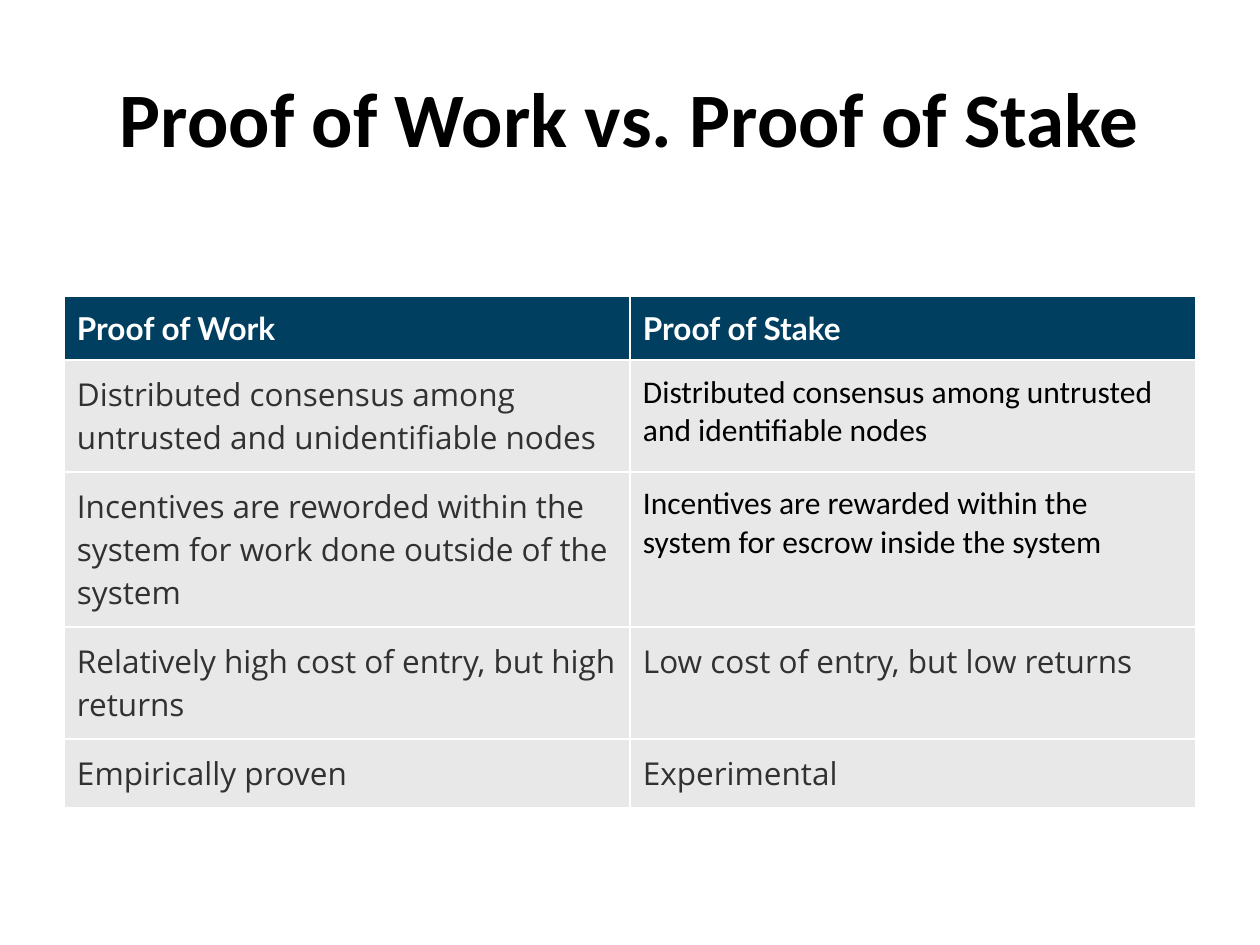
from lxml import etree
from pptx import Presentation
from pptx.dml.color import RGBColor
from pptx.enum.text import MSO_ANCHOR, MSO_AUTO_SIZE, PP_ALIGN
from pptx.oxml.ns import qn
from pptx.util import Pt

CENTER = PP_ALIGN.CENTER
LEFT = PP_ALIGN.LEFT
MIDDLE = MSO_ANCHOR.MIDDLE
TOP = MSO_ANCHOR.TOP
NO_FIT = MSO_AUTO_SIZE.NONE

BLACK = RGBColor(0x00, 0x00, 0x00)
WHITE = RGBColor(0xFF, 0xFF, 0xFF)
NAVY = RGBColor(0x00, 0x3F, 0x60)
GREY = RGBColor(0xE8, 0xE8, 0xE8)
CHARCOAL = RGBColor(0x31, 0x31, 0x31)

HEADER = dict(font="Lato", color=WHITE, bold=True)
BODY = dict(font="Open Sans", color=CHARCOAL)
PLAIN = dict(font="Calibri", color=BLACK)

TITLE = "Proof of Work vs. Proof of Stake"
ROWS = [
    (64, NAVY, [("Proof of Work", HEADER), ("Proof of Stake", HEADER)]),
    (112, GREY, [
        ("Distributed consensus among untrusted and unidentifiable nodes", BODY),
        ("Distributed consensus among untrusted and identifiable nodes", PLAIN),
    ]),
    (155, GREY, [
        ("Incentives are reworded within the system for work done outside of the system", BODY),
        ("Incentives are rewarded within the system for escrow inside the system", PLAIN),
    ]),
    (112, GREY, [
        ("Relatively high cost of entry, but high returns", BODY),
        ("Low cost of entry, but low returns", BODY),
    ]),
    (67, GREY, [("Empirically proven", BODY), ("Experimental", BODY)]),
]
TABLE_LEFT, TABLE_TOP, COL_WIDTH, MARGIN = 64, 296, 566, 13
BORDER = Pt(1.5)


def px(n):
    return round(n * 914400 / 126)


def write(tf, text, font, color, size=18, bold=False, align=LEFT):
    p = tf.paragraphs[0]
    p.alignment = align
    r = p.add_run()
    r.text = text
    r.font.name = font
    r.font.size = Pt(size)
    r.font.bold = bold
    r.font.color.rgb = color


def add_borders(cell, color):
    tc_pr = cell._tc.get_or_add_tcPr()
    for side in ("lnL", "lnR", "lnT", "lnB"):
        ln = etree.SubElement(tc_pr, qn(f"a:{side}"), w=str(BORDER))
        fill = etree.SubElement(ln, qn("a:solidFill"))
        etree.SubElement(fill, qn("a:srgbClr"), val=str(color))


def add_title(s):
    title = s.shapes.title
    title.left, title.top, title.width, title.height = map(px, (63, 38, 1134, 158))
    tf = title.text_frame
    tf.auto_size = NO_FIT
    tf.word_wrap = True
    tf.vertical_anchor = MIDDLE
    write(tf, TITLE, "Calibri", BLACK, size=44, bold=True, align=CENTER)


def add_comparison(s):
    cols = len(ROWS[0][2])
    height = sum(row[0] for row in ROWS)
    table = s.shapes.add_table(len(ROWS), cols, px(TABLE_LEFT), px(TABLE_TOP),
                               px(COL_WIDTH * cols), px(height)).table
    for col in table.columns:
        col.width = px(COL_WIDTH)
    for i, (row_height, fill, entries) in enumerate(ROWS):
        table.rows[i].height = px(row_height)
        for j, (text, style) in enumerate(entries):
            cell = table.cell(i, j)
            cell.margin_left = cell.margin_right = px(MARGIN)
            cell.margin_top = cell.margin_bottom = px(MARGIN)
            cell.vertical_anchor = TOP
            add_borders(cell, WHITE)
            cell.fill.solid()
            cell.fill.fore_color.rgb = fill
            write(cell.text_frame, text, **style)


def main():
    prs = Presentation()
    prs.slide_width, prs.slide_height = px(1260), px(945)
    s = prs.slides.add_slide(prs.slide_layouts[5])
    add_title(s)
    add_comparison(s)
    prs.save("out.pptx")


if __name__ == "__main__":
    main()
